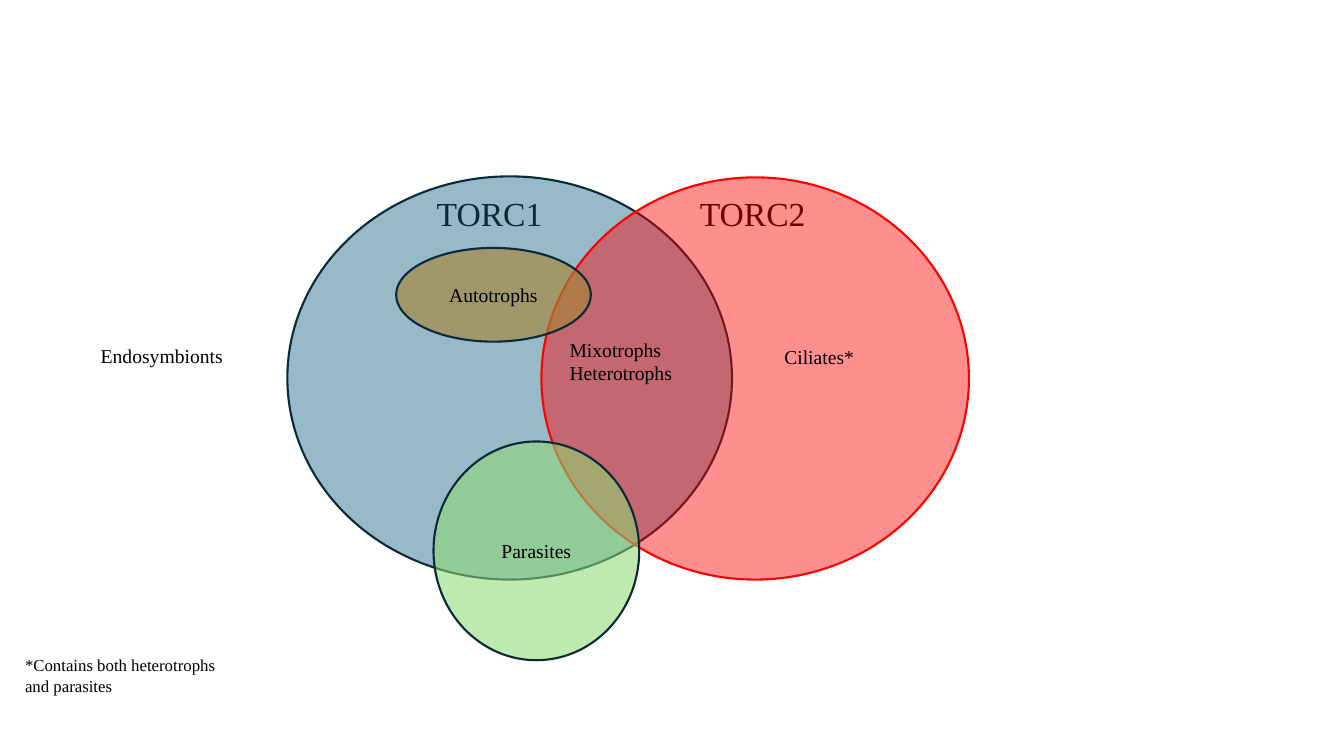
from lxml import etree
from pptx import Presentation
from pptx.dml.color import RGBColor
from pptx.enum import shapes, text
from pptx.oxml import ns
from pptx.util import Inches, Pt

FONT = "Times New Roman"
BLACK = RGBColor(0x00, 0x00, 0x00)
NAVY = RGBColor(0x09, 0x2A, 0x39)
TEAL = RGBColor(0x15, 0x60, 0x82)
RED = RGBColor(0xFF, 0x00, 0x00)
OCHRE = RGBColor(0xA5, 0x85, 0x37)
GREEN = RGBColor(0x8E, 0xD9, 0x73)


def write(frame, content, size, align):
    frame.word_wrap = True
    frame.text = content
    for paragraph in frame.paragraphs:
        paragraph.alignment = align
        paragraph.font.name = FONT
        paragraph.font.size = Pt(size)
        paragraph.font.color.rgb = BLACK


def add_label(slide, content, box, size=14, align=text.PP_ALIGN.LEFT):
    label = slide.shapes.add_textbox(*map(Inches, box))
    write(label.text_frame, content, size, align)


def add_set(slide, box, color, opacity, outline=NAVY, name=""):
    """Add a translucent ellipse, with its name in the middle."""
    ellipse = slide.shapes.add_shape(shapes.MSO_SHAPE.OVAL, *map(Inches, box))
    ellipse.shadow.inherit = False
    ellipse.fill.solid()
    ellipse.fill.fore_color.rgb = color
    srgb = ellipse.fill._xPr.find(".//" + ns.qn("a:srgbClr"))
    etree.SubElement(srgb, ns.qn("a:alpha"), val=str(opacity * 1000))
    ellipse.line.color.rgb = outline
    ellipse.line.width = Pt(1.5)
    if name:
        ellipse.text_frame.vertical_anchor = text.MSO_ANCHOR.MIDDLE
        write(ellipse.text_frame, name, 14, text.PP_ALIGN.CENTER)


def main():
    prs = Presentation()
    prs.slide_width, prs.slide_height = Inches(13.33), Inches(7.5)
    slide = prs.slides.add_slide(prs.slide_layouts[6])

    # Complex names, behind the translucent sets
    for name, left in (("TORC2", 6.67), ("TORC1", 4.06)):
        add_label(slide, name, (left, 1.86, 1.59, 0.5), 24, text.PP_ALIGN.CENTER)

    # The two overlapping complexes
    add_set(slide, (2.85, 1.75, 4.41, 4), TEAL, 44)
    add_set(slide, (5.37, 1.76, 4.24, 3.99), RED, 44, outline=RED)

    # Groups named by region, and the footnote
    add_label(slide, "Mixotrophs\nHeterotrophs", (5.55, 3.3, 1.59, 0.57))
    add_label(slide, "Endosymbionts", (0.9, 3.36, 2.29, 0.34))
    add_label(slide, "Ciliates*", (7.68, 3.37, 1.72, 0.34))
    add_label(slide, "*Contains both heterotrophs and parasites",
              (0.15, 6.45, 2.18, 0.5), size=12)

    # Smaller sets
    add_set(slide, (3.93, 2.46, 1.93, 0.93), OCHRE, 64, name="Autotrophs")
    add_set(slide, (4.3, 4.38, 2.04, 2.17), GREEN, 57, name="Parasites")

    prs.save("out.pptx")


if __name__ == "__main__":
    main()
